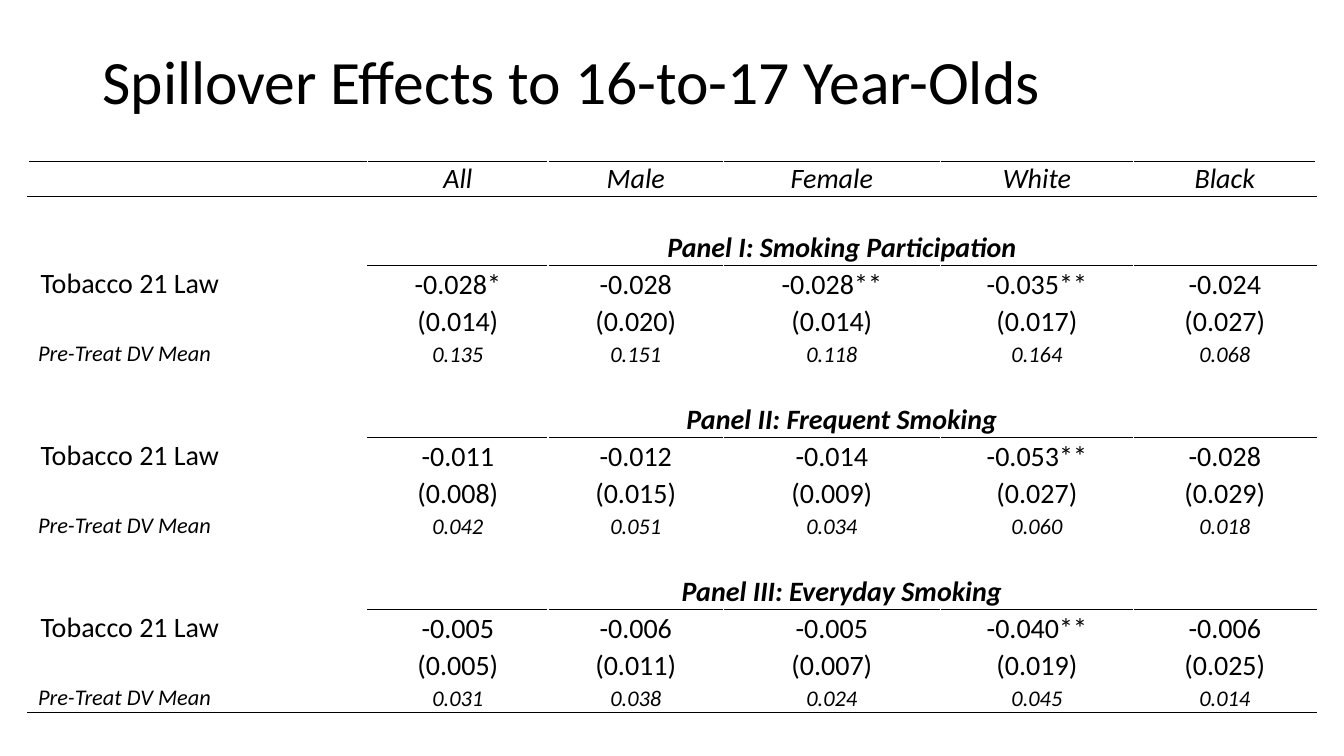
from lxml import etree
from pptx import Presentation
from pptx.dml.color import RGBColor
from pptx.enum.text import MSO_ANCHOR, MSO_AUTO_SIZE, PP_ALIGN
from pptx.oxml.ns import qn
from pptx.util import Pt

LEFT, CENTER = PP_ALIGN.LEFT, PP_ALIGN.CENTER
TOP, MIDDLE, BOTTOM = MSO_ANCHOR.TOP, MSO_ANCHOR.MIDDLE, MSO_ANCHOR.BOTTOM
NO_AUTOFIT = MSO_AUTO_SIZE.NONE
BLACK = RGBColor(0x00, 0x00, 0x00)
WHITE = RGBColor(0xFF, 0xFF, 0xFF)
FONT = "Calibri"
BODY_SIZE, MEAN_SIZE = 20, 16

GROUPS = ["All", "Male", "Female", "White", "Black"]
PANELS = [
    ("Panel I: Smoking Participation",
     ["-0.028*", "-0.028", "-0.028**", "-0.035**", "-0.024"],
     ["(0.014)", "(0.020)", "(0.014)", "(0.017)", "(0.027)"],
     ["0.135", "0.151", "0.118", "0.164", "0.068"]),
    ("Panel II: Frequent Smoking",
     ["-0.011", "-0.012", "-0.014", "-0.053**", "-0.028"],
     ["(0.008)", "(0.015)", "(0.009)", "(0.027)", "(0.029)"],
     ["0.042", "0.051", "0.034", "0.060", "0.018"]),
    ("Panel III: Everyday Smoking",
     ["-0.005", "-0.006", "-0.005", "-0.040**", "-0.006"],
     ["(0.005)", "(0.011)", "(0.007)", "(0.019)", "(0.025)"],
     ["0.031", "0.038", "0.024", "0.045", "0.014"]),
]
COLUMN_WIDTHS = [242.6, 128.9, 125.3, 154.8, 138.2, 130.3]
HEADER_HEIGHT = 25
PANEL_HEIGHTS = [49.2, 26.4, 26.4, 20.9]


def format_runs(paragraph, size, bold=False, italic=False):
    for run in paragraph.runs:
        run.font.name = FONT
        run.font.size = Pt(size)
        run.font.bold = bold
        run.font.italic = italic
        run.font.color.rgb = BLACK


def write_cell(cell, text, size=BODY_SIZE, bold=False, italic=False,
               align=CENTER, anchor=MIDDLE, indent=0, spacing=1.0):
    cell.vertical_anchor = anchor
    cell.margin_left = Pt(indent)
    paragraph = cell.text_frame.paragraphs[0]
    paragraph.text = text
    paragraph.alignment = align
    paragraph.line_spacing = spacing
    format_runs(paragraph, size, bold, italic)


def set_borders(cell, top, bottom):
    properties = cell._tc.get_or_add_tcPr()
    sides = [("a:lnL", WHITE), ("a:lnR", WHITE), ("a:lnT", top), ("a:lnB", bottom)]
    for position, (tag, color) in enumerate(sides):
        line = etree.Element(qn(tag), w=str(Pt(1)))
        fill = etree.SubElement(line, qn("a:solidFill"))
        etree.SubElement(fill, qn("a:srgbClr"), val=str(color))
        properties.insert(position, line)


def add_title(slide, left, top, width, height):
    title = slide.shapes.title
    title.left, title.top, title.width, title.height = map(Pt, (left, top, width, height))
    frame = title.text_frame
    frame.text = "Spillover Effects to 16-to-17 Year-Olds"
    frame.vertical_anchor = MIDDLE
    frame.auto_size = NO_AUTOFIT
    heading = frame.paragraphs[0]
    heading.alignment = LEFT
    heading.line_spacing = 0.9
    format_runs(heading, 44)


def fill_panel(table, first_row, panel):
    name, estimates, errors, means = panel
    heading = table.cell(first_row, 1)
    heading.merge(table.cell(first_row, len(GROUPS)))
    write_cell(heading, name, bold=True, italic=True, anchor=BOTTOM)
    write_cell(table.cell(first_row + 1, 0), "Tobacco 21 Law", align=LEFT, indent=9)
    write_cell(table.cell(first_row + 3, 0), "Pre-Treat DV Mean", MEAN_SIZE,
               italic=True, align=LEFT, indent=7.2)
    lines = [(estimates, BODY_SIZE, False), (errors, BODY_SIZE, False),
             (means, MEAN_SIZE, True)]
    for row, (values, size, italic) in enumerate(lines, first_row + 1):
        for column, value in enumerate(values, 1):
            write_cell(table.cell(row, column), value, size, italic=italic,
                       anchor=TOP, spacing=1.07)


def add_results_table(slide, left, top):
    heights = [HEADER_HEIGHT] + PANEL_HEIGHTS * len(PANELS)
    table = slide.shapes.add_table(
        len(heights), len(COLUMN_WIDTHS), Pt(left), Pt(top),
        Pt(sum(COLUMN_WIDTHS)), Pt(sum(heights))).table
    table.first_row = False
    table.horz_banding = False
    for column, width in zip(table.columns, COLUMN_WIDTHS):
        column.width = Pt(width)
    for row, height in zip(table.rows, heights):
        row.height = Pt(height)

    step = len(PANEL_HEIGHTS)
    panel_rows = range(1, len(heights), step)
    last_row = len(heights) - 1
    for row in range(len(heights)):
        for column in range(len(COLUMN_WIDTHS)):
            cell = table.cell(row, column)
            cell.fill.background()
            cell.margin_left = cell.margin_right = Pt(0)
            cell.margin_top = cell.margin_bottom = Pt(0)
            ruled_top = row in (0, 1) or (column and row - 1 in panel_rows)
            ruled_bottom = row in (0, last_row) or (column and row in panel_rows)
            set_borders(cell, BLACK if ruled_top else WHITE,
                        BLACK if ruled_bottom else WHITE)

    for column, group in enumerate(GROUPS, 1):
        write_cell(table.cell(0, column), group, italic=True)
    for first_row, panel in zip(panel_rows, PANELS):
        fill_panel(table, first_row, panel)


def main():
    presentation = Presentation()
    presentation.slide_width = Pt(960)
    presentation.slide_height = Pt(540)
    slide = presentation.slides.add_slide(presentation.slide_layouts[5])
    add_title(slide, 66, 26.6, 828, 67)
    add_results_table(slide, 20, 115.2)
    presentation.save("out.pptx")


if __name__ == "__main__":
    main()
